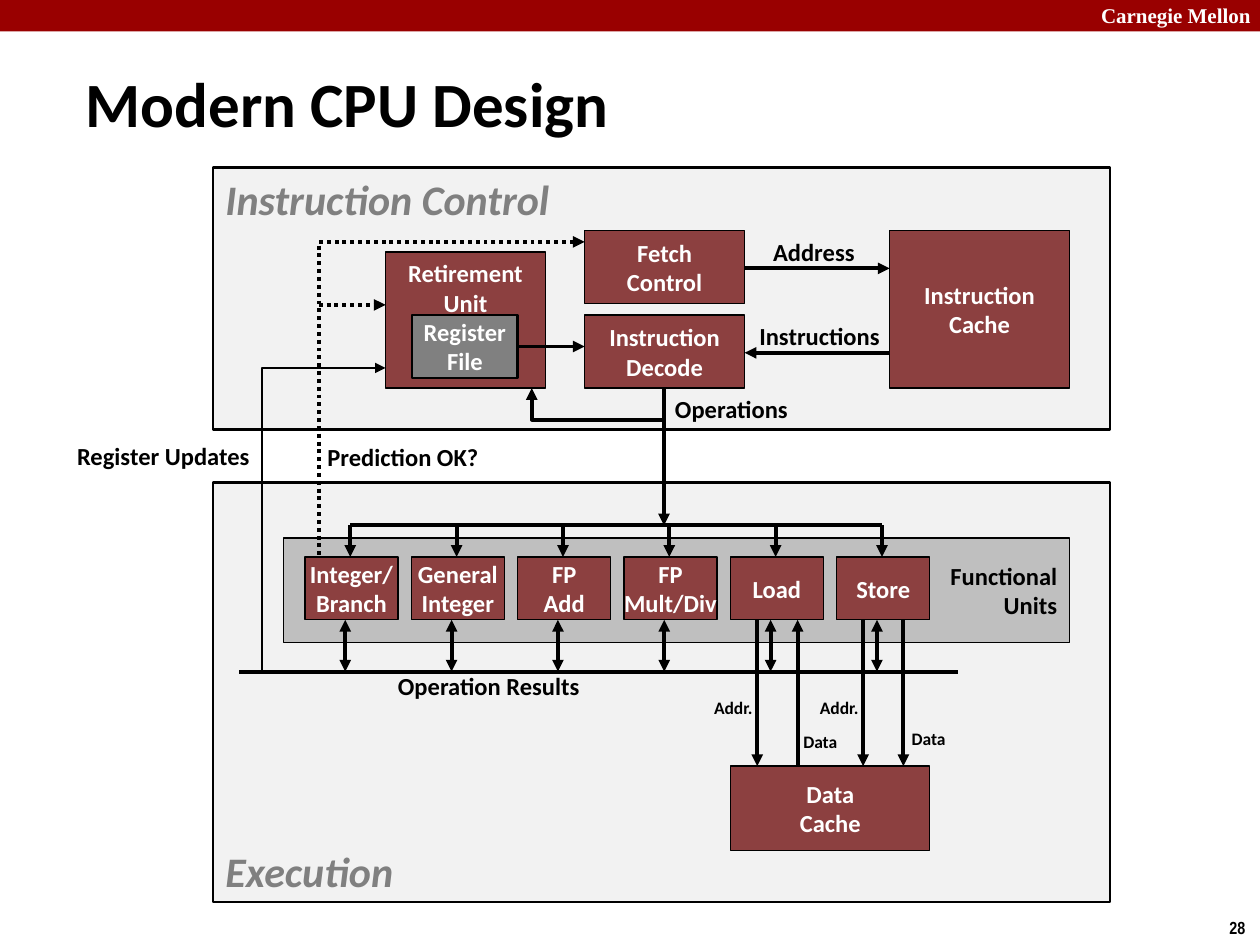
"""Build the Modern CPU Design block diagram slide."""
from pptx import Presentation
from pptx.dml.color import RGBColor
from pptx.enum.dml import MSO_LINE
from pptx.enum.shapes import MSO_CONNECTOR, MSO_SHAPE
from pptx.enum.text import MSO_ANCHOR as ANCHOR, MSO_AUTO_SIZE as FIT, PP_ALIGN as ALIGN
from pptx.oxml.ns import qn
from pptx.util import Pt
from lxml.etree import SubElement

SCALE = 9144
COLORS = {"banner": "990000", "panel": "F2F2F2", "units": "BFBFBF", "block": "8C4040",
          "gray": "808080", "white": "FFFFFF", "black": "000000"}

TITLE = ("Modern CPU Design", (58, 50, 641, 63))
PANEL_FONT = dict(size=24, color="gray", italic=True)
PANELS = [
    ("Execution", (169, 383, 712, 333), "panel", 1.5, dict(anchor=ANCHOR.BOTTOM, **PANEL_FONT)),
    ("Functional\nUnits", (225, 427, 624, 83), "units", 0.75, dict(align=ALIGN.RIGHT)),
    ("Instruction Control", (169, 133, 712, 208), "panel", 1.5, dict(anchor=ANCHOR.TOP, **PANEL_FONT)),
]
BLOCKS = [
    ("Instruction\nCache", (706, 183, 143, 125), "block", ANCHOR.MIDDLE),
    ("Data\nCache", (580, 608, 158, 67), "block", ANCHOR.MIDDLE),
    ("Fetch\nControl", (464, 183, 127, 58), "block", ANCHOR.MIDDLE),
    ("Instruction\nDecode", (464, 250, 127, 58), "block", ANCHOR.MIDDLE),
    ("Retirement\nUnit", (306, 200, 127, 108), "block", ANCHOR.TOP),
    ("Register\nFile", (327, 250, 84, 50), "gray", ANCHOR.MIDDLE),
]
UNITS = ["Integer/\nBranch", "General\nInteger", "FP\nAdd", "FP\nMult/Div", "Load", "Store"]
UNIT_LEFT, UNIT_TOP, UNIT_WIDTH, UNIT_HEIGHT, UNIT_PITCH = 242, 442, 74, 50, 84.4
DISPATCH_Y, RESULTS_Y, DATA_CACHE_Y = 417, 533, 608
UNIT_BOTTOM = UNIT_TOP + UNIT_HEIGHT

LABELS = [
    ("Address", (603, 183, 86, 34), dict(align=ALIGN.CENTER)),
    ("Instructions", (592, 250, 117, 34), dict(align=ALIGN.CENTER)),
    ("Operations", (525, 308, 111, 34), dict(align=ALIGN.CENTER)),
    ("Prediction OK?", (250, 346, 141, 34), {}),
    ("Register Updates", (50, 345, 158, 34), dict(align=ALIGN.RIGHT)),
    ("Operation Results", (306, 528, 166, 34), {}),
    ("Data", (713, 573, 48, 27), dict(size=10, align=ALIGN.CENTER)),
    ("Data", (627, 575, 48, 27), dict(size=10, align=ALIGN.CENTER)),
    ("Addr.", (556, 548, 52, 27), dict(size=10, align=ALIGN.CENTER)),
    ("Addr.", (640, 548, 52, 27), dict(size=10, align=ALIGN.CENTER)),
    ("Carnegie Mellon", (864, -3, 143, 30), dict(size=12, font="Times New Roman", color="white")),
    ("28", (966, 723, 34, 27), dict(size=10, font="Arial Narrow")),
]
TO, FROM = dict(tail=True), dict(head=True)
WIRES = [
    ([(591, 213), (706, 213)], TO),
    ([(706, 280), (591, 280)], TO),
    ([(411, 275), (464, 275)], TO),
    ([(527, 308), (527, DISPATCH_Y)], TO),
    ([(527, 333), (422, 333), (422, 308)], TO),
    ([(464, 192), (253, 192), (253, UNIT_TOP)], dict(head=True, dotted=True)),
    ([(253, 242), (306, 242)], dict(tail=True, dotted=True)),
    ([(306, 292), (208, 292), (208, RESULTS_Y)], dict(head=True, width=1.5)),
    ([(278, DISPATCH_Y), (700, DISPATCH_Y)], {}),
    ([(190, RESULTS_Y), (760, RESULTS_Y)], {}),
    ([(601, UNIT_BOTTOM), (601, DATA_CACHE_Y)], TO),
    ([(633, UNIT_BOTTOM), (633, DATA_CACHE_Y)], FROM),
    ([(685, UNIT_BOTTOM), (685, DATA_CACHE_Y)], TO),
    ([(717, UNIT_BOTTOM), (717, DATA_CACHE_Y)], TO),
]


def emu(*lengths):
    return [round(length * SCALE) for length in lengths]


def rgb(name):
    return RGBColor.from_string(COLORS[name])


def write(frame, text, size=14, font="Calibri", color="black", italic=False,
          align=ALIGN.LEFT, anchor=ANCHOR.MIDDLE, fit=FIT.NONE):
    frame.word_wrap = False
    frame.auto_size = fit
    frame.vertical_anchor = anchor
    frame.text = text
    for line in frame.paragraphs:
        line.alignment = align
        line.font.size, line.font.name = Pt(size), font
        line.font.bold, line.font.italic = True, italic
        line.font.color.rgb = rgb(color)


def add_box(slide, box, fill, outline=0):
    rect = slide.shapes.add_shape(MSO_SHAPE.RECTANGLE, *emu(*box))
    rect.shadow.inherit = False
    rect.fill.solid()
    rect.fill.fore_color.rgb = rgb(fill)
    if outline:
        rect.line.color.rgb = rgb("black")
        rect.line.width = Pt(outline)
    else:
        rect.line.fill.background()
    return rect.text_frame


def add_wire(slide, points, head=False, tail=False, dotted=False, width=2.25):
    start, *rest = [emu(*point) for point in points]
    if len(rest) == 1:
        wire = slide.shapes.add_connector(MSO_CONNECTOR.STRAIGHT, *start, *rest[0])
    else:
        outline = slide.shapes.build_freeform(*start)
        outline.add_line_segments(rest, close=False)
        wire = outline.convert_to_shape()
        wire.fill.background()
    wire.line.color.rgb = rgb("black")
    wire.line.width = Pt(width)
    if dotted:
        wire.line.dash_style = MSO_LINE.ROUND_DOT
    properties = wire.element.spPr
    for end, shown in (("a:headEnd", head), ("a:tailEnd", tail)):
        if shown:
            SubElement(properties.find(qn("a:ln")), qn(end), type="triangle")
    SubElement(properties, qn("a:effectLst"))


def main():
    deck = Presentation()
    deck.slide_width, deck.slide_height = emu(1000, 750)
    slide = deck.slides.add_slide(deck.slide_layouts[5])

    text, box = TITLE
    title = slide.shapes.title
    title.left, title.top, title.width, title.height = emu(*box)
    write(title.text_frame, text, size=36)

    add_box(slide, (0, 0, 1000, 25), "banner")
    for text, box, fill, outline, style in PANELS:
        write(add_box(slide, box, fill, outline), text, **style)

    blocks, wires = list(BLOCKS), list(WIRES)
    for index, unit in enumerate(UNITS):
        shift = index * UNIT_PITCH
        blocks.append((unit, (UNIT_LEFT + shift, UNIT_TOP, UNIT_WIDTH, UNIT_HEIGHT),
                       "block", ANCHOR.MIDDLE))
        wires.append(([(278 + shift, DISPATCH_Y), (278 + shift, UNIT_TOP)], TO))
        wires.append(([(274 + shift, UNIT_BOTTOM), (274 + shift, RESULTS_Y)],
                      dict(head=True, tail=True)))

    for text, box, fill, anchor in blocks:
        outline = 1.5 if fill == "gray" else 0.75
        write(add_box(slide, box, fill, outline), text, color="white",
              align=ALIGN.CENTER, anchor=anchor)
    for points, style in wires:
        add_wire(slide, points, **style)
    for text, box, style in LABELS:
        label = slide.shapes.add_textbox(*emu(*box))
        write(label.text_frame, text, anchor=ANCHOR.TOP, fit=FIT.SHAPE_TO_FIT_TEXT, **style)

    deck.save("out.pptx")


if __name__ == "__main__":
    main()
